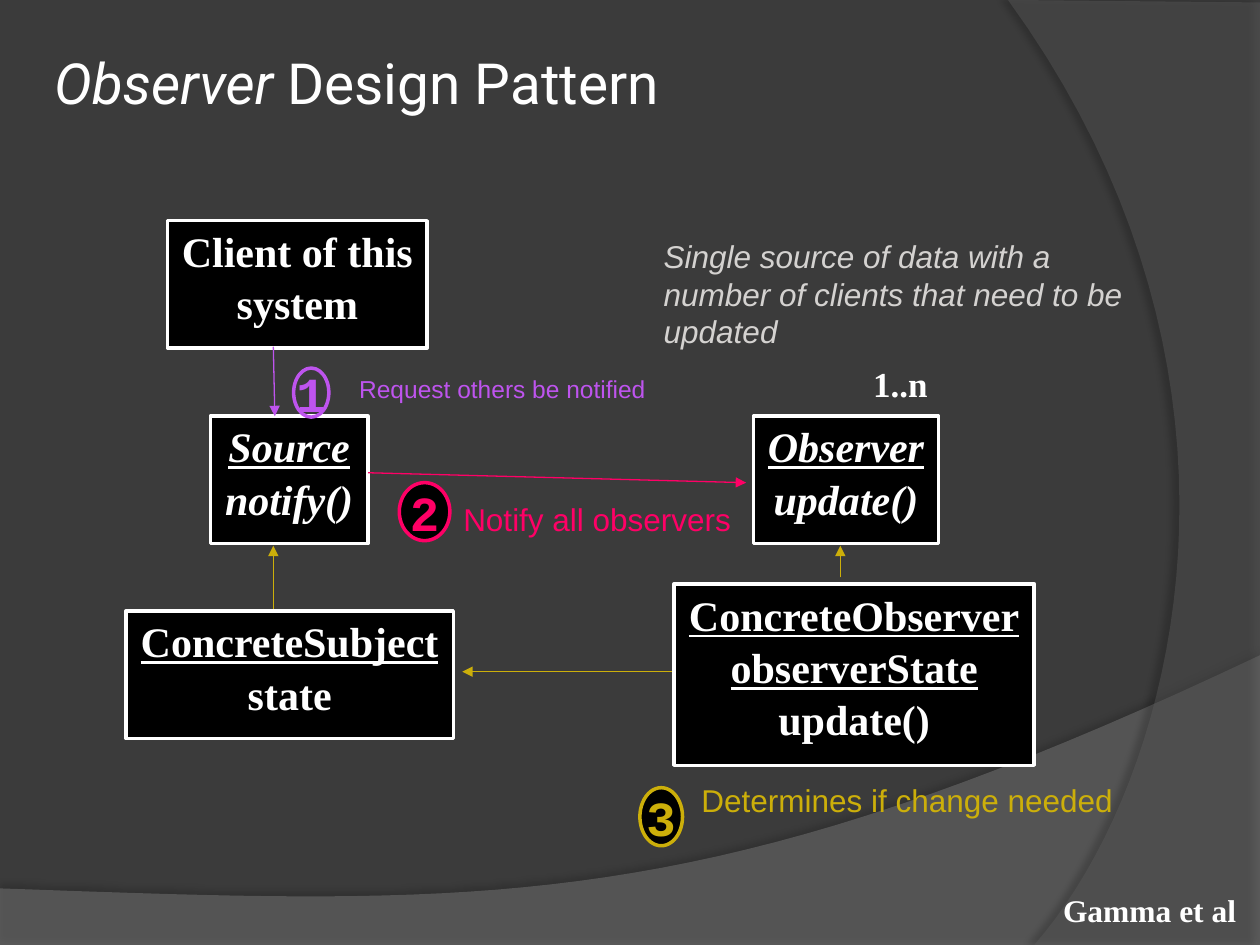
import pptx
import pptx.dml.color
import pptx.enum.shapes
import pptx.enum.text
import pptx.oxml
import pptx.oxml.ns
import pptx.util

Cm = pptx.util.Cm
Pt = pptx.util.Pt
SHAPES = pptx.enum.shapes.MSO_SHAPE
ANCHOR = pptx.enum.text.MSO_ANCHOR
FIT = pptx.enum.text.MSO_AUTO_SIZE
CENTER = pptx.enum.text.PP_ALIGN.CENTER
NAMESPACE = pptx.oxml.ns.nsdecls("a")

COLOURS = {
    "page": "3B3B3B", "wave": "7F7F7F", "arc": "5E5E5E",
    "black": "000000", "white": "FFFFFF", "note": "D4D2D0",
    "request": "BE54EE", "notify": "FF0066", "state": "CCAF0A",
}
SERIF = "Times New Roman"


def colour(name):
    return pptx.dml.color.RGBColor.from_string(COLOURS[name])


def within(box, part):
    return (box[0] + part[0], box[1] + part[1], part[2], part[3])


def lengths(box):
    return [Cm(value) for value in box]


def add_span(para, text, font, size, hue, bold=False, italic=False, underline=False):
    span = para.add_run()
    span.text = text
    span.font.name, span.font.size = font, Pt(size)
    span.font.color.rgb = colour(hue)
    span.font.bold, span.font.italic, span.font.underline = bold, italic, underline


def add_label(page, box, text, font, size, hue, wrap=False, **style):
    label = page.shapes.add_textbox(*lengths(box))
    frame = label.text_frame
    frame.word_wrap = wrap
    frame.auto_size = FIT.SHAPE_TO_FIT_TEXT
    add_span(frame.paragraphs[0], text, font, size, hue, **style)


def add_framed(page, box, kind, fill, line, inset):
    shape = page.shapes.add_shape(kind, *lengths(box))
    shape.shadow.inherit = False
    if fill:
        shape.fill.solid()
        shape.fill.fore_color.rgb = colour(fill)
    else:
        shape.fill.background()
    shape.line.color.rgb = colour(line)
    shape.line.width = Pt(2)
    frame = shape.text_frame
    frame.word_wrap = False
    frame.vertical_anchor = ANCHOR.MIDDLE
    frame.margin_left = frame.margin_right = Cm(0.25)
    frame.margin_top = frame.margin_bottom = Cm(inset)
    return frame


def class_box(page, box, lines, underlined, italic):
    frame = add_framed(page, box, SHAPES.RECTANGLE, "black", "white", 0.38)
    frame.auto_size = FIT.SHAPE_TO_FIT_TEXT
    for index, text in enumerate(lines):
        para = frame.add_paragraph() if index else frame.paragraphs[0]
        para.alignment = CENTER
        para.line_spacing = 0.6
        para.space_before = Pt(12.5)
        add_span(para, text, SERIF, 24, "white", bold=True, italic=italic,
                 underline=index < underlined)


def step(page, box, number, fill, hue, text, size, place, wrap):
    frame = add_framed(page, box, SHAPES.OVAL, fill, hue, 0.13)
    para = frame.paragraphs[0]
    para.alignment = CENTER
    para.space_before = Pt(14)
    add_span(para, number, "Courier New", 28, hue, bold=True)
    add_label(page, within(box, place), text, "Arial", size, hue, wrap=wrap)


def arrow(page, box, start, end, hue):
    ends = [Cm(box[axis] + point[axis]) for point in (start, end) for axis in (0, 1)]
    line = page.shapes.add_connector(pptx.enum.shapes.MSO_CONNECTOR.STRAIGHT, *ends)
    line.line.color.rgb = colour(hue)
    line.line.width = Pt(0.75)
    line.line._get_or_add_ln().append(
        pptx.oxml.parse_xml(f'<a:tailEnd {NAMESPACE} type="triangle"/>'))
    line._element.spPr.append(pptx.oxml.parse_xml(f"<a:effectLst {NAMESPACE}/>"))


def curve(start, first, second, end, steps=40):
    points = []
    for index in range(steps + 1):
        t = index / steps
        weights = ((1 - t) ** 3, 3 * t * (1 - t) ** 2, 3 * t * t * (1 - t), t ** 3)
        points.append(tuple(
            sum(weight * point[axis] for weight, point in zip(weights, (start, first, second, end)))
            for axis in (0, 1)))
    return points


def swoosh(page, box, points, hue, alpha, shade, distance, direction):
    outline = [(Cm(box[0] + x), Cm(box[1] + y)) for x, y in points]
    builder = page.shapes.build_freeform(*outline[0], scale=1.0)
    builder.add_line_segments(outline[1:], close=True)
    shape = builder.convert_to_shape()
    shape.fill.solid()
    shape.fill.fore_color.rgb = colour(hue)
    shape.line.fill.background()
    tint = shape._element.spPr.find(".//" + pptx.oxml.ns.qn("a:srgbClr"))
    tint.append(pptx.oxml.parse_xml(f'<a:alpha {NAMESPACE} val="{alpha * 1000}"/>'))
    shape._element.spPr.append(pptx.oxml.parse_xml(
        f'<a:effectLst {NAMESPACE}><a:outerShdw blurRad="{Pt(4)}" dist="{Pt(distance)}" '
        f'dir="{direction * 60000}" algn="ctr" rotWithShape="0">'
        f'<a:srgbClr val="{COLOURS["black"]}"><a:alpha val="{shade * 1000}"/></a:srgbClr>'
        f'</a:outerShdw></a:effectLst>'))


def backdrop(page, box):
    page.background.fill.solid()
    page.background.fill.fore_color.rgb = colour("page")
    wave = [(0, 19.08), (25.4, 19.08)]
    wave += curve((25.4, 13.21), (14.2, 18.52), (9.93, 18.26), (0, 17.91))
    arc = [(25.4, 0.05), (25.4, 19.05)]
    arc += curve((20.85, 19.05), (23.75, 15.72), (25.86, 7.62), (20.32, 0))
    swoosh(page, box, wave, "wave", 45, 35, 3.5, 270)
    swoosh(page, box, arc, "arc", 40, 45, 4, 180)


def heading(page, box):
    title = page.shapes.add_textbox(*lengths(box))
    title.text_frame.word_wrap = True
    para = title.text_frame.paragraphs[0]
    add_span(para, "Observer ", "Roboto", 32.4, "white", italic=True)
    add_span(para, "Design Pattern", "Roboto", 32.4, "white")


def diagram(page, box):
    classes = [
        ((1.7, 3.94, 3.18, 2.57), ["Source", "notify()"], 1, True),
        ((12.65, 3.94, 3.73, 2.57), ["Observer", "update()"], 1, True),
        ((0, 7.87, 6.6, 2.57), ["ConcreteSubject", "state"], 1, False),
        ((11.05, 7.32, 7.26, 3.66), ["ConcreteObserver", "observerState", "update()"], 2, False),
        ((0.84, 0, 5.23, 2.57), ["Client of this", "system"], 0, False),
    ]
    for place, lines, underlined, italic in classes:
        class_box(page, within(box, place), lines, underlined, italic)

    steps = [
        ((3.38, 2.97, 0.71, 0.99), "1", None, "request",
         "Request others be notified", 14, (1.07, 0, 9.96, 0.84), True),
        ((5.51, 5.28, 1.02, 1.17), "2", "black", "notify",
         "Notify all observers", 18, (1.04, 0.23, 5.92, 1.02), False),
        ((10.36, 11.43, 0.86, 1.17), "3", "black", "state",
         "Determines if change needed", 18, (0.99, -0.25, 8.81, 1.02), False),
    ]
    for place, *details in steps:
        step(page, within(box, place), *details)

    arrows = [
        ((2.97, 2.54), (3, 3.94), "request"),
        ((4.88, 5.08), (12.5, 5.28), "notify"),
        ((14.4, 7.19), (14.4, 6.55), "state"),
        ((11, 9.09), (6.78, 9.09), "state"),
        ((2.97, 7.82), (2.97, 6.55), "state"),
    ]
    for start, end, hue in arrows:
        arrow(page, box, start, end, hue)

    add_label(page, within(box, (14.81, 2.74, 1.6, 1.09)), "1..n", SERIF, 20, "white", bold=True)
    add_label(page, within(box, (10.59, 0.2, 10.62, 2.54)),
              "Single source of data with a number of clients that need to be updated",
              "Arial", 18, "note", wrap=True, italic=True)


def credit(page, box):
    add_label(page, box, "Gamma et al", SERIF, 18, "white", bold=True)


def main():
    deck = pptx.Presentation()
    deck.slide_width, deck.slide_height = Cm(25.4), Cm(19.05)
    page = deck.slides.add_slide(deck.slide_layouts[6])
    backdrop(page, (0, 0, 25.4, 19.05))
    heading(page, (0.84, 0.84, 25.2, 2.01))
    diagram(page, (2.54, 4.45, 21.21, 12.6))
    credit(page, (21.18, 17.83, 4.01, 1.02))
    deck.save("out.pptx")


if __name__ == "__main__":
    main()
